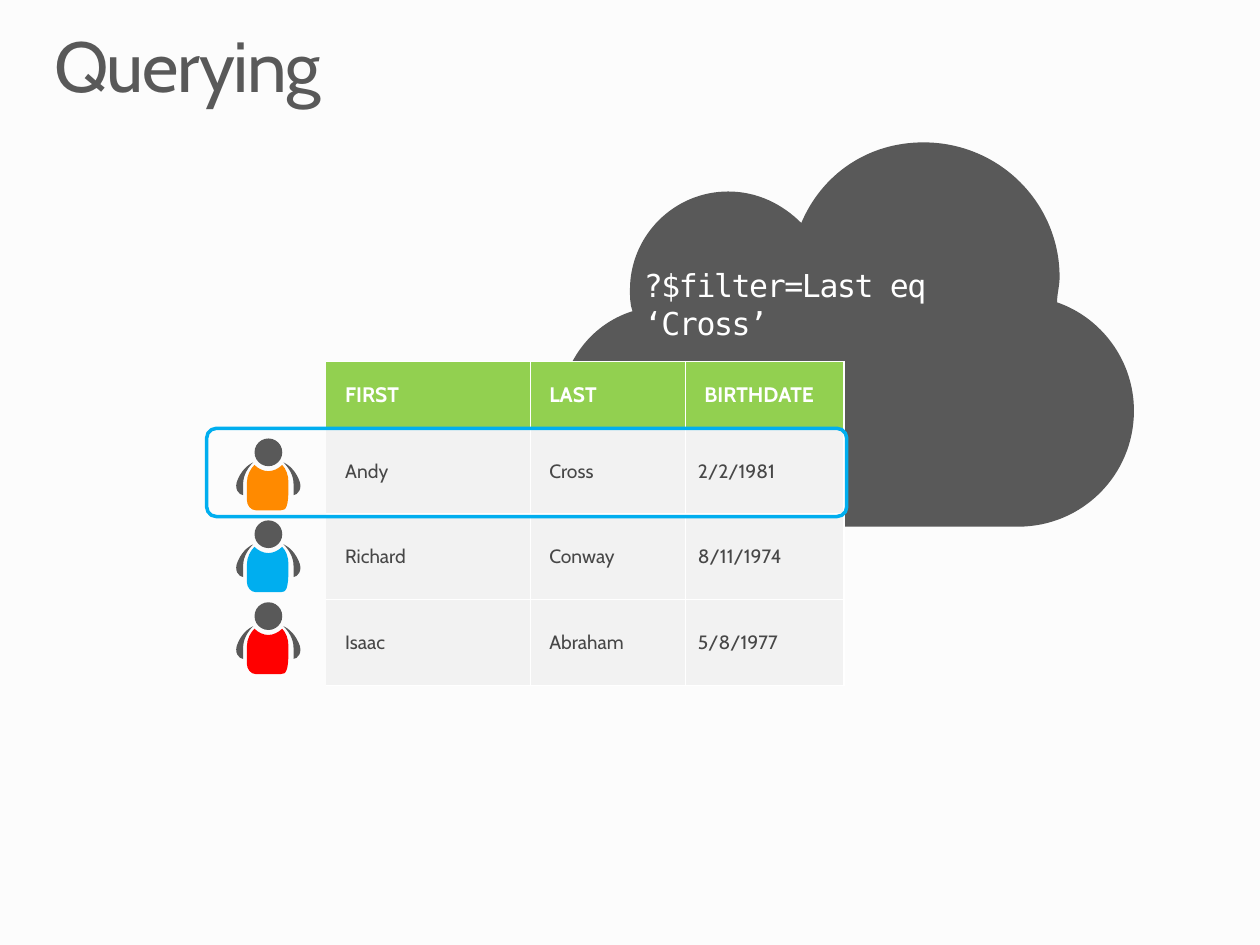
from lxml.etree import SubElement
from pptx import Presentation
from pptx.dml.color import RGBColor
from pptx.enum.shapes import MSO_SHAPE
from pptx.enum.text import MSO_ANCHOR
from pptx.oxml.ns import qn
from pptx.util import Inches, Pt

PAPER = RGBColor(0xFC, 0xFC, 0xFC)
WHITE = RGBColor(0xFF, 0xFF, 0xFF)
GRAY = RGBColor(0x59, 0x59, 0x59)
INK = RGBColor(0x47, 0x47, 0x47)
PALE = RGBColor(0xF2, 0xF2, 0xF2)
GREEN = RGBColor(0x92, 0xD0, 0x50)
BLUE = RGBColor(0x00, 0xAE, 0xEF)
ORANGE = RGBColor(0xFF, 0x8A, 0x00)
RED = RGBColor(0xFF, 0x00, 0x00)

GRID_COLUMNS, GRID_ROWS = 100, 75
PERSON_PITCH = 6.5
PERSON_AXIS = 21.3
NO_STYLE = "{2D5ABB26-0587-4C30-8999-92F81FD0307C}"

CLOUD = [
    (83.9, 24), (83.9, 23.3, 84.1, 22.7, 84.1, 22),
    (84.1, 16.1, 79.3, 11.3, 73.3, 11.3), (68.8, 11.3, 65.2, 13.9, 63.6, 17.7),
    (62.1, 16.2, 60.1, 15.2, 57.8, 15.2), (53.5, 15.2, 50, 18.7, 50, 23),
    (50, 23.5, 50, 24.2, 50.2, 24.7), (46.7, 25.8, 44.4, 29.1, 44.4, 32.9),
    (44.4, 37.9, 48.3, 41.8, 53.3, 41.8), (80.8, 41.8),
    (85.9, 41.8, 90, 37.7, 90, 32.6), (90, 28.6, 87.4, 25.2, 83.9, 24),
]
LEFT_ARM = [
    (20.1, 36.7), (19.9, 36.8, 19.3, 37.1, 18.9, 38),
    (18.5, 38.8, 19, 39.3, 19.3, 39.3), (19.3, 38.4),
    (19.3, 37.7, 19.7, 37.1, 20.1, 36.7),
]
TORSO = [
    (22.9, 38.3), (22.9, 37.7, 22.7, 37.2, 22.4, 36.9),
    (22.1, 37.2, 21.7, 37.4, 21.3, 37.4), (20.9, 37.4, 20.5, 37.2, 20.2, 36.9),
    (19.9, 37.2, 19.6, 37.7, 19.6, 38.3), (19.6, 39.7),
    (19.6, 40.1, 19.9, 40.5, 20.3, 40.5), (22.3, 40.5),
    (22.7, 40.5, 22.9, 40.3, 22.9, 38.6),
]
RECORDS = [
    ("", "FIRST", "LAST", "BIRTHDATE"),
    ("", "Andy", "Cross", "2/2/1981"),
    ("", "Richard", "Conway", "8/11/1974"),
    ("", "Isaac", "Abraham", "5/8/1977"),
]


def grid(cells):
    return Inches(cells / 10)


def set_all(target, values):
    for name, value in values.items():
        setattr(target, name, value)


def paint(shape, color):
    shape.shadow.inherit = False
    shape.fill.solid()
    shape.fill.fore_color.rgb = color
    shape.line.fill.background()


def mirror(outline):
    return [
        tuple(value if place % 2 else 2 * PERSON_AXIS - value
              for place, value in enumerate(step))
        for step in outline
    ]


def add_outline(shapes, outline, color, drop=0):
    points = [
        (grid(x), grid(y + drop))
        for step in outline for x, y in zip(step[::2], step[1::2])
    ]
    builder = shapes.build_freeform(*points[0], scale=1)
    builder.add_line_segments(points[1:], close=True)
    shape = builder.convert_to_shape()
    segments = iter(list(shape._element.iter(qn("a:lnTo"))))
    for step in outline[1:]:
        segment = next(segments)
        if len(step) == 6:
            segment.tag = qn("a:cubicBezTo")
            for extra in (next(segments), next(segments)):
                segment.append(extra[0])
                extra.getparent().remove(extra)
    paint(shape, color)


def add_person(slide, index, color):
    person = slide.shapes.add_group_shape().shapes
    drop = index * PERSON_PITCH
    for outline, tint in ((LEFT_ARM, GRAY), (mirror(LEFT_ARM), GRAY), (TORSO, color)):
        add_outline(person, outline, tint, drop)
    head = person.add_shape(
        MSO_SHAPE.OVAL, grid(PERSON_AXIS - 1.1), grid(34.8 + drop), grid(2.2), grid(2.2)
    )
    paint(head, GRAY)


def add_label(slide, text, place, inset, font, line_spacing=1.0):
    label = slide.shapes.add_textbox(*map(grid, place)).text_frame
    across, down = map(grid, inset)
    set_all(label, {
        "word_wrap": True, "margin_left": across, "margin_right": across,
        "margin_top": down, "margin_bottom": down,
    })
    paragraph = label.paragraphs[0]
    paragraph.line_spacing = line_spacing
    write(paragraph, text, font).set("spc", "-80")


def write(paragraph, text, font):
    run = paragraph.add_run()
    run.text = text
    set_all(run.font, {key: value for key, value in font.items() if key != "color"})
    run.font.color.rgb = font["color"]
    return run._r.get_or_add_rPr()


def add_border(cell, sides):
    for side in sides:
        edge = SubElement(cell._tc.get_or_add_tcPr(), qn(f"a:ln{side}"), w=str(Pt(1)))
        fill = SubElement(edge, qn("a:solidFill"))
        SubElement(fill, qn("a:srgbClr"), val=str(WHITE))


def fill_cell(cell, text, row, column):
    if not text:
        cell.fill.background()
        return
    header = row == 0
    across, down = (1, 0.4) if column == 3 and not header else (1.5, 0.4 if row == 3 else 0.7)
    set_all(cell, {
        "vertical_anchor": MSO_ANCHOR.MIDDLE, "margin_left": grid(across),
        "margin_right": grid(across), "margin_top": grid(down), "margin_bottom": grid(down),
    })
    drawn = {"L": column > 1, "R": True, "T": row != 1, "B": not header}
    add_border(cell, [side for side, shown in drawn.items() if shown])
    cell.fill.solid()
    cell.fill.fore_color.rgb = GREEN if header else PALE
    write(cell.text_frame.paragraphs[0], text, {
        "name": "Cabin", "size": Pt(12 if header else 11), "bold": header,
        "color": WHITE if header else INK,
    })


def add_records(slide):
    widths, heights = (16.2, 16.2, 12.3, 12.6), (5.3, 6.8, 6.8, 6.8)
    table = slide.shapes.add_table(
        len(heights), len(widths), grid(9.7), grid(28.7), grid(sum(widths)), grid(sum(heights))
    ).table
    set_all(table, {"first_row": False, "horz_banding": False})
    table._tbl.tblPr.find(qn("a:tableStyleId")).text = NO_STYLE
    for column, width in zip(table.columns, widths):
        column.width = grid(width)
    for row, height in zip(table.rows, heights):
        row.height = grid(height)
    for row, record in enumerate(RECORDS):
        for column, text in enumerate(record):
            fill_cell(table.cell(row, column), text, row, column)


def add_match_frame(slide):
    frame = slide.shapes.add_shape(
        MSO_SHAPE.ROUNDED_RECTANGLE, grid(16.4), grid(34), grid(50.8), grid(7)
    )
    frame.adjustments[0] = 0.11
    frame.shadow.inherit = False
    frame.fill.background()
    frame.line.color.rgb = BLUE
    frame.line.width = Pt(2)


def main():
    deck = Presentation()
    set_all(deck, {"slide_width": grid(GRID_COLUMNS), "slide_height": grid(GRID_ROWS)})
    slide = deck.slides.add_slide(deck.slide_layouts[6])
    slide.background.fill.solid()
    slide.background.fill.fore_color.rgb = PAPER
    add_outline(slide.shapes, CLOUD, GRAY)
    add_label(slide, "Querying", (4.3, 2.5, 91.5, 6.1), (0, 0),
              {"name": "Cabin", "size": Pt(40.5), "color": GRAY}, 0.9)
    add_records(slide)
    add_match_frame(slide)
    for index, color in enumerate((ORANGE, BLUE, RED)):
        add_person(slide, index, color)
    add_label(slide, "?$filter=Last eq ‘Cross’", (50.4, 20.7, 32.2, 3.8), (0.7, 0.4),
              {"name": "DejaVu Sans Mono", "size": Pt(18), "color": WHITE})
    deck.save("out.pptx")


if __name__ == "__main__":
    main()
